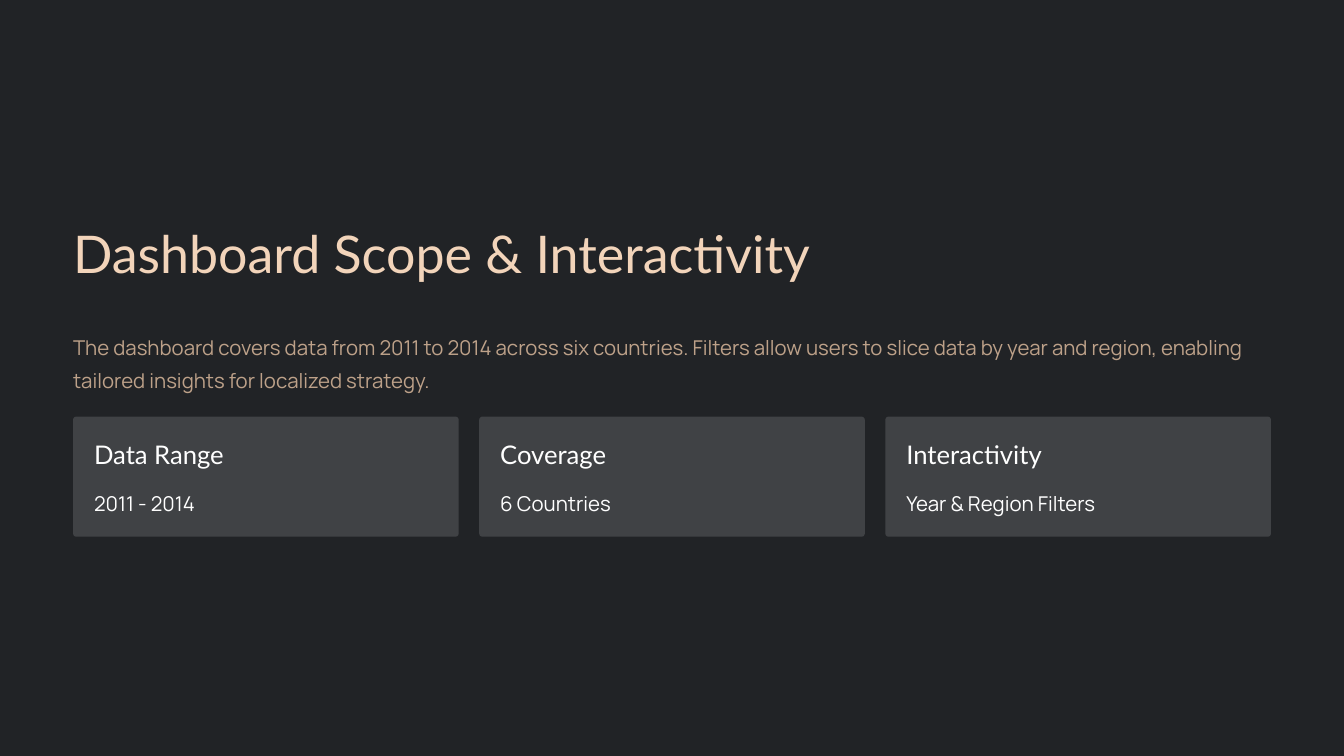
from pptx import Presentation
from pptx import util as u
from pptx.dml import color
from pptx.enum import shapes

LEFT = 0.87
CARD_W, CARD_H, CARD_TOP = 4.59, 1.43, 4.96
STEP = 4.835  # card width plus gap
PAD = 0.25
CARDS = [
    ("Data Range", "2011 - 2014"),
    ("Coverage", "6 Countries"),
    ("Interactivity", "Year & Region Filters"),
]


def rgb(code):
    return color.RGBColor.from_string(code)


def add_text(slide, box, words, font, size, lead, tint, wrap=False):
    frame = slide.shapes.add_textbox(*map(u.Inches, box)).text_frame
    frame.word_wrap = wrap
    frame.margin_left = frame.margin_right = 0
    frame.margin_top = frame.margin_bottom = 0
    para = frame.paragraphs[0]
    para.text = words
    para.line_spacing = u.Pt(lead)
    para.font.name = font
    para.font.size = u.Pt(size)
    para.font.color.rgb = rgb(tint)


def add_card(slide, left, head, body):
    card = slide.shapes.add_shape(
        shapes.MSO_SHAPE.ROUNDED_RECTANGLE,
        *map(u.Inches, (left, CARD_TOP, CARD_W, CARD_H)))
    card.adjustments[0] = 0.026
    card.shadow.inherit = False
    card.fill.solid()
    card.fill.fore_color.rgb = rgb("404245")
    card.line.fill.background()
    inner = left + PAD
    add_text(slide, (inner, CARD_TOP + PAD, 3.1, 0.39),
             head, "Lato", 22, 27.5, "FFFFFF")
    add_text(slide, (inner, CARD_TOP + 0.78, 4.09, 0.4),
             body, "Manrope", 17.5, 28.5, "FFFFFF")


def main():
    deck = Presentation()
    deck.slide_width, deck.slide_height = u.Inches(16), u.Inches(9)
    slide = deck.slides.add_slide(deck.slide_layouts[6])

    # Dark background
    fill = slide.background.fill
    fill.solid()
    fill.fore_color.rgb = rgb("212326")

    # Title and summary
    add_text(slide, (LEFT, 2.61, 9.77, 0.78),
             "Dashboard Scope & Interactivity", "Lato", 44.5, 55.5, "F2D4BA")
    add_text(slide, (LEFT, 3.88, 14.26, 0.79),
             "The dashboard covers data from 2011 to 2014 across six countries. "
             "Filters allow users to slice data by year and region, enabling "
             "tailored insights for localized strategy.",
             "Manrope", 17.5, 28.5, "BDA189", wrap=True)

    # Row of cards
    for i, (head, body) in enumerate(CARDS):
        add_card(slide, LEFT + i * STEP, head, body)

    deck.save("out.pptx")


if __name__ == "__main__":
    main()
